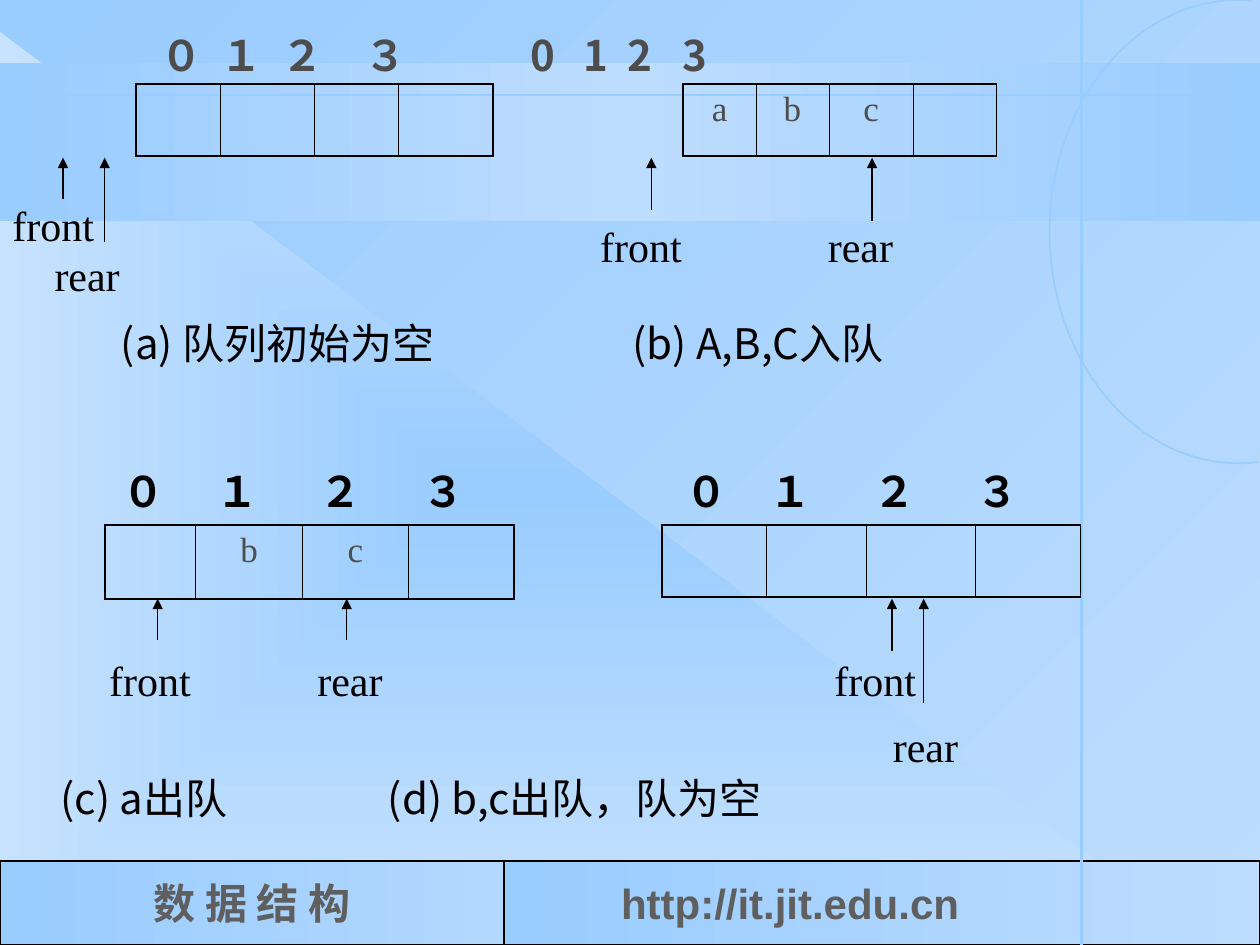
import dataclasses
import math
import typing

import pptx
import pptx.dml.color
import pptx.enum.shapes
import pptx.enum.text
import pptx.oxml
import pptx.oxml.ns
import pptx.util

Cm = pptx.util.Cm
Pt = pptx.util.Pt
qn = pptx.oxml.ns.qn
Shapes = pptx.enum.shapes.MSO_SHAPE
Align = pptx.enum.text.PP_ALIGN


@dataclasses.dataclass(frozen=True)
class Theme:
    sky: str = "99CCFF"
    pale: str = "BDDDFE"
    glow: str = "C7E2FE"
    mist: str = "B3D8FE"
    ink: str = "000000"
    gray: str = "4D4D4D"
    footer: str = "5F5F5F"
    serif: str = "Times New Roman"
    sans: str = "Arial"
    cjk: str = "Noto Sans CJK SC"
    body: int = 24
    cell: int = 20
    inset: float = 0.25


THEME = Theme()


class Label(typing.NamedTuple):
    text: str
    x: float


class Line(typing.NamedTuple):
    labels: list[Label]
    font: str = THEME.serif
    before: int = 0


class Block(typing.NamedTuple):
    """Lines whose labels stand at absolute x positions, in cm."""
    box: tuple[float, float, float, float]
    lines: list[Line]
    color: str = THEME.ink
    bold: bool = False
    tab: str = "l"


class Queue(typing.NamedTuple):
    left: float
    top: float
    height: float
    widths: tuple[float, ...]
    items: str


class Pointer(typing.NamedTuple):
    x: float
    start: float
    tip: float


def rgb(color: str) -> pptx.dml.color.RGBColor:
    return pptx.dml.color.RGBColor.from_string(color)


def xml(tag: str, body: str = "", attrs: str = ""):
    return pptx.oxml.parse_xml(
        f'<a:{tag} {pptx.oxml.ns.nsdecls("a")} {attrs}>{body}</a:{tag}>')


def solid(color: str) -> str:
    return f'<a:solidFill><a:srgbClr val="{color}"/></a:solidFill>'


def set_gradient(owner, fill, colors: list[str], angle: int | None = 0) -> None:
    """Spread the colours evenly; an angle of None runs them out from the centre."""
    fill.gradient()
    stops = "".join(
        f'<a:gs pos="{i * 100000 // (len(colors) - 1)}"><a:srgbClr val="{c}"/></a:gs>'
        for i, c in enumerate(colors))
    course = (f'<a:lin ang="{angle * 60000}" scaled="1"/>' if angle is not None else
              '<a:path path="rect"><a:fillToRect l="50000" t="50000" r="50000" b="50000"/></a:path>')
    old = owner._element.find(".//" + qn("a:gradFill"))
    old.getparent().replace(old, xml("gradFill", f"<a:gsLst>{stops}</a:gsLst>{course}"))


def add_panel(slide, kind, box, colors, angle: int | None = 0, outlined: bool = False):
    panel = slide.shapes.add_shape(kind, *map(Cm, box))
    panel.shadow.inherit = False
    set_gradient(panel, panel.fill, colors, angle)
    if outlined:
        panel.line.color.rgb = rgb(THEME.ink)
        panel.line.width = Pt(1.5)
    else:
        panel.line.fill.background()
    return panel


def add_run(paragraph, text: str, font: str, size: int, color: str, bold: bool = False) -> None:
    run = paragraph.add_run()
    run.text = text
    run.font.name, run.font.size, run.font.bold = font, Pt(size), bold
    run.font.color.rgb = rgb(color)
    run.font._element.append(xml("ea", attrs=f'typeface="{THEME.cjk}"'))


def add_footer(slide, box, colors, text, font, align, indent=0.0) -> None:
    panel = add_panel(slide, Shapes.RECTANGLE, box, colors, outlined=True)
    panel.text_frame.vertical_anchor = pptx.enum.text.MSO_ANCHOR.MIDDLE
    paragraph = panel.text_frame.paragraphs[0]
    paragraph.alignment = align
    paragraph._p.get_or_add_pPr().set("marL", str(Cm(indent)))
    add_run(paragraph, text, font, THEME.body, THEME.footer, True)


def add_line(slide, start, end, color: str, width: float, arrow: bool = False) -> None:
    line = slide.shapes.add_connector(
        pptx.enum.shapes.MSO_CONNECTOR.STRAIGHT, *map(Cm, start + end))
    line.line.color.rgb = rgb(color)
    line.line.width = Pt(width)
    if arrow:
        line.line._get_or_add_ln().append(xml("tailEnd", attrs='type="triangle"'))
    line._element.spPr.append(xml("effectLst"))


def add_arc(slide) -> None:
    points = [(Cm(9.83 * 2.54 - 3.81 * math.cos(t)), Cm(4.67 - 4.67 * math.sin(t)))
              for t in (math.radians(d) for d in range(94, -97, -2))]
    builder = slide.shapes.build_freeform(*points[0])
    builder.add_line_segments(points[1:], close=False)
    arc = builder.convert_to_shape()
    arc.shadow.inherit = False
    arc.fill.background()
    arc.line.color.rgb = rgb(THEME.sky)
    arc.line.width = Pt(1)


def add_block(slide, block: Block) -> None:
    frame = slide.shapes.add_textbox(*map(Cm, block.box)).text_frame
    frame.word_wrap = True
    origin = block.box[0] + THEME.inset
    for i, line in enumerate(block.lines):
        paragraph = frame.add_paragraph() if i else frame.paragraphs[0]
        properties = paragraph._p.get_or_add_pPr()
        tabbed = len(line.labels) > 1
        if tabbed:
            properties.append(xml("tabLst", "".join(
                f'<a:tab pos="{Cm(label.x - origin)}" algn="{block.tab}"/>'
                for label in line.labels)))
        else:
            properties.set("marL", str(Cm(line.labels[0].x - origin)))
        if line.before:
            paragraph.space_before = Pt(line.before)
        for label in line.labels:
            add_run(paragraph, "\t" * tabbed + label.text, line.font, THEME.body,
                    block.color, block.bold)


def add_queue(slide, queue: Queue) -> None:
    count = len(queue.widths)
    table = slide.shapes.add_table(
        1, count, Cm(queue.left), Cm(queue.top),
        Cm(sum(queue.widths)), Cm(queue.height)).table
    table.first_row = table.horz_banding = False
    table.rows[0].height = Cm(queue.height)
    for i, (width, item) in enumerate(zip(queue.widths, queue.items)):
        table.columns[i].width = Cm(width)
        cell = table.cell(0, i)
        cell.fill.background()
        if item != " ":
            paragraph = cell.text_frame.paragraphs[0]
            paragraph.alignment = Align.CENTER
            add_run(paragraph, item, THEME.serif, THEME.cell, THEME.gray)
        edges = {"L": i == 0, "R": i == count - 1, "T": True, "B": True}
        for at, (side, outer) in enumerate(edges.items()):
            weight = Pt(1.08 if outer else 0.45)
            cell._tc.get_or_add_tcPr().insert(
                at, xml(f"ln{side}", solid(THEME.ink), f'w="{weight}"'))


def index_line(digits: str, centers: list[float], font: str) -> list[Line]:
    return [Line([Label(d, x) for d, x in zip(digits, centers)], font)]


BLOCKS = [
    Block((1.47, 0.48, 22.23, 6.55), index_line(
        "０１２３0123", [3.65, 4.86, 6.1, 7.78, 10.95, 12.01, 12.9, 14], THEME.cjk),
        THEME.gray, True, "ctr"),
    Block((0, 3.89, 3.43, 2.29), [Line([Label("front", 0.25)]), Line([Label("rear", 1.1)])]),
    Block((11.63, 4.32, 7.2, 1.27), [Line([Label("front", 12.1), Label("rear", 16.69)])]),
    Block((1.9, 6.27, 22.05, 1.63), [
        Line([Label("(a) 队列初始为空", 2.44), Label("(b) A,B,C入队", 12.75)], THEME.cjk)]),
    Block((0.84, 9.25, 23.7, 7.82), index_line(
        "０１２３" * 2, [2.9, 4.78, 6.86, 8.94, 14.25, 15.93, 18.03, 20.1], THEME.serif),
        THEME.ink, True, "ctr"),
    Block((0, 13.06, 24.13, 5.3), [
        Line([Label("front", 2.2), Label("rear", 6.4), Label("front", 16.82)]),
        Line([Label("rear", 18)], before=9),
        Line([Label("(c) a出队", 1.22), Label("(d) b,c出队，队为空", 7.82)], THEME.cjk, 1)]),
]
QUEUES = [
    Queue(2.74, 1.7, 1.44, (1.7, 1.9, 1.7, 1.9), "    "),
    Queue(13.77, 1.7, 1.44, (1.47, 1.47, 1.7, 1.68), "abc "),
    Queue(2.11, 10.59, 1.48, (1.83, 2.16, 2.13, 2.13), " bc "),
    Queue(13.34, 10.59, 1.44, (2.11, 2.01, 2.21, 2.11), "    "),
]
POINTERS = [
    Pointer(1.27, 4.01, 3.18), Pointer(2.11, 4.88, 3.18),
    Pointer(13.13, 4.24, 3.18), Pointer(17.58, 4.45, 3.18),
    Pointer(3.18, 12.9, 12.07), Pointer(6.99, 12.9, 12.07),
    Pointer(17.98, 13.13, 12.07), Pointer(18.62, 14.17, 12.07),
]


def main() -> None:
    deck = pptx.Presentation()
    deck.slide_width, deck.slide_height = Cm(25.4), Cm(19.05)
    slide = deck.slides.add_slide(deck.slide_layouts[6])
    set_gradient(slide, slide.background.fill, [THEME.pale, THEME.sky], 225)
    add_panel(slide, Shapes.RIGHT_TRIANGLE, (0, 0.64, 24.33, 18.41),
              [THEME.sky, THEME.glow], None)
    add_panel(slide, Shapes.RECTANGLE, (0, 1.27, 25.4, 3.18),
              [THEME.sky, THEME.pale, THEME.sky])
    add_footer(slide, (0, 17.36, 10.16, 1.69), [THEME.sky, THEME.mist],
               "数 据 结 构", THEME.serif, Align.CENTER)
    add_footer(slide, (10.16, 17.36, 15.24, 1.69), [THEME.sky, THEME.pale],
               "http://it.jit.edu.cn", THEME.sans, Align.LEFT, 2.11)
    add_line(slide, (0, 1.91), (25.4, 1.91), THEME.sky, 1)
    add_line(slide, (21.8, 0), (21.8, 19.05), THEME.sky, 1.5)
    add_arc(slide)
    for block in BLOCKS:
        add_block(slide, block)
    for queue in QUEUES:
        add_queue(slide, queue)
    for pointer in POINTERS:
        add_line(slide, (pointer.x, pointer.start), (pointer.x, pointer.tip),
                 THEME.ink, 0.75, arrow=True)
    deck.save("out.pptx")


if __name__ == "__main__":
    main()
